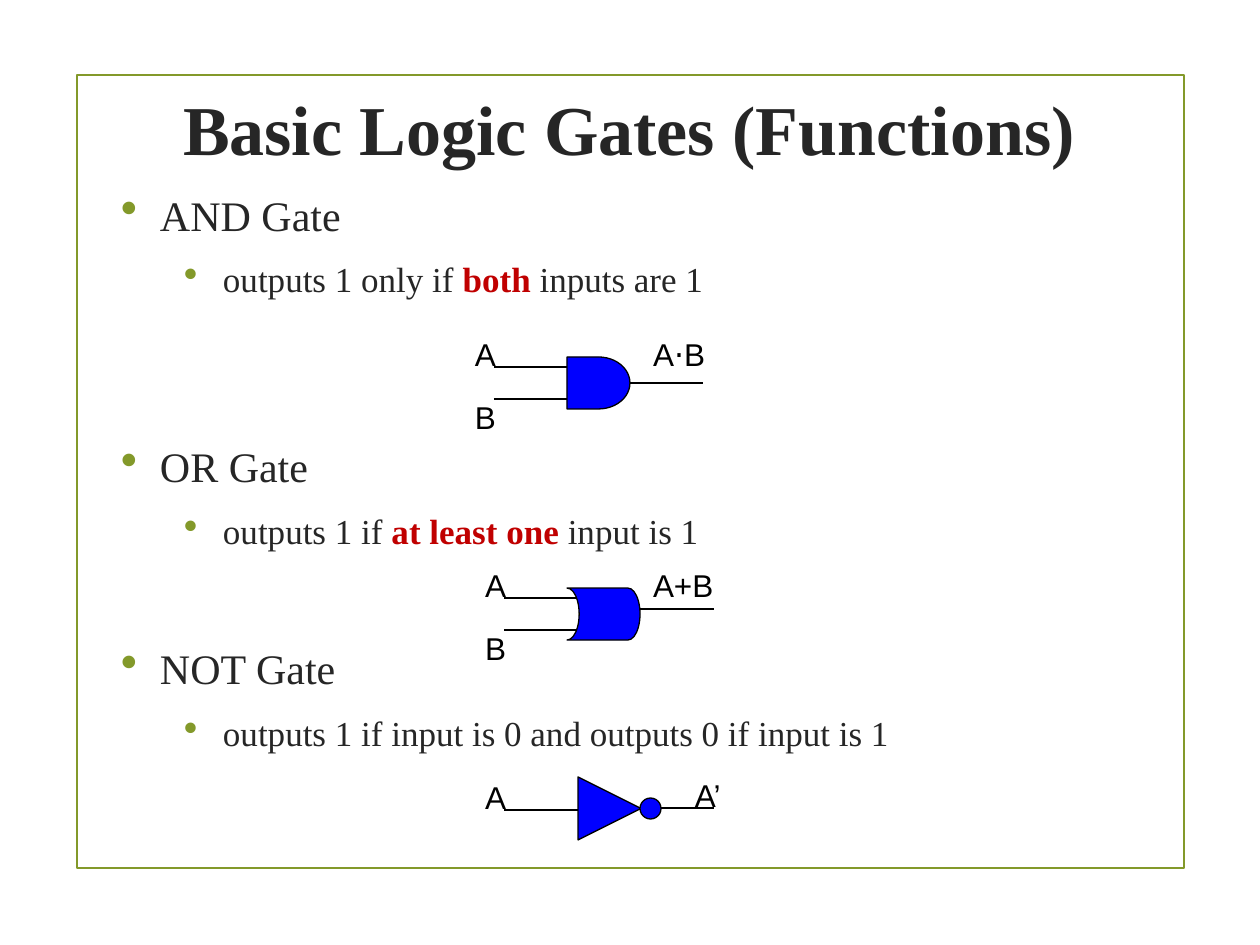
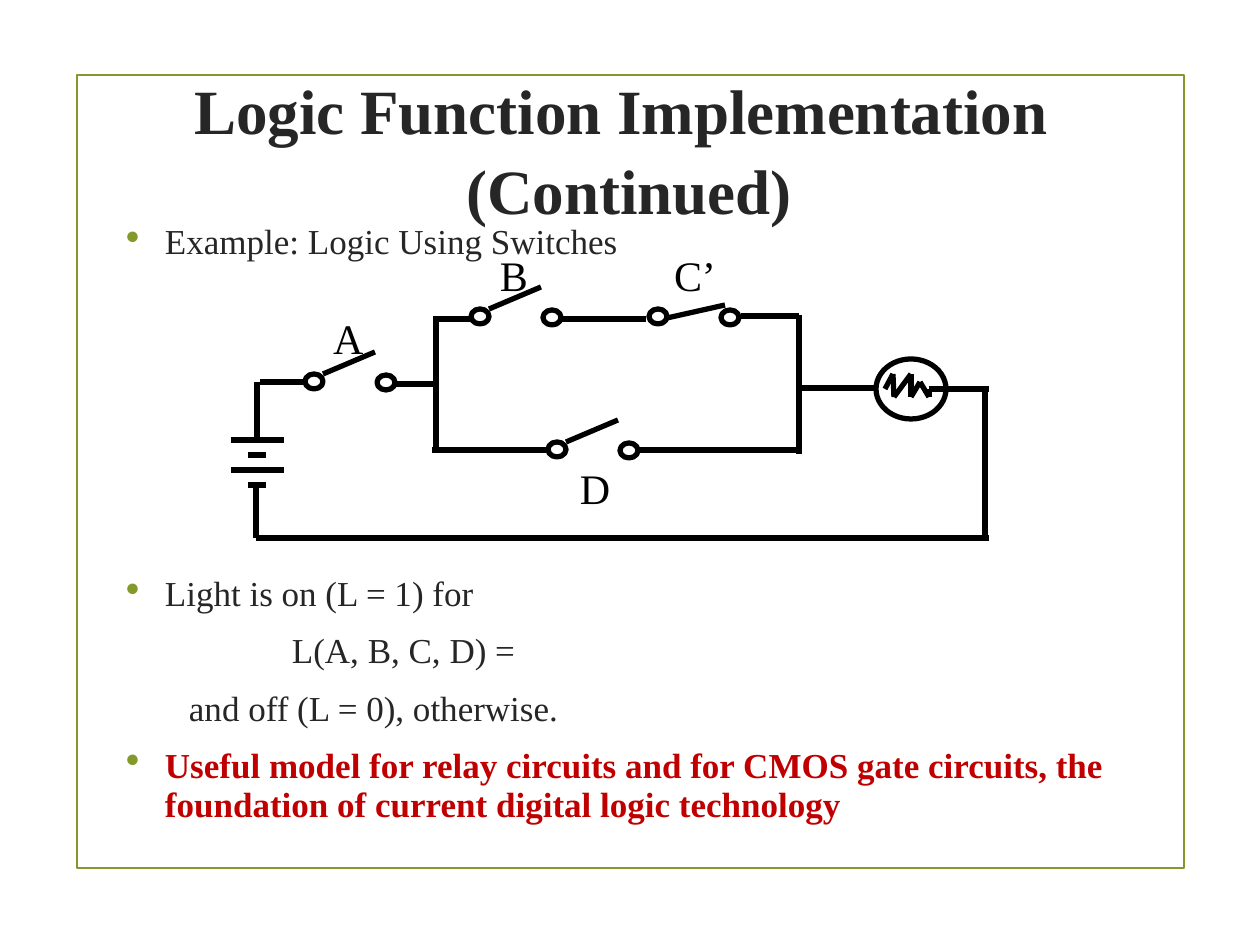
from itertools import pairwise

from lxml import etree
from pptx import Presentation
from pptx.dml.color import RGBColor
from pptx.enum.shapes import MSO_CONNECTOR, MSO_SHAPE
from pptx.enum.text import MSO_ANCHOR, PP_ALIGN
from pptx.oxml.ns import qn
from pptx.util import Emu, Pt

STRAIGHT = MSO_CONNECTOR.STRAIGHT
RECTANGLE, OVAL = MSO_SHAPE.RECTANGLE, MSO_SHAPE.OVAL
AND_BODY = MSO_SHAPE.FLOWCHART_DELAY
OR_BODY = MSO_SHAPE.FLOWCHART_STORED_DATA
NOT_BODY = MSO_SHAPE.FLOWCHART_EXTRACT
BUBBLE = MSO_SHAPE.FLOWCHART_CONNECTOR
TOP, MIDDLE = MSO_ANCHOR.TOP, MSO_ANCHOR.MIDDLE
CENTER = PP_ALIGN.CENTER

COLORS = {"olive": "83992A", "ink": "262626", "red": "C00000",
          "gate": "0000FF", "black": "000000"}
SERIF, SANS = "Times New Roman", "Arial"
EMU_PER_PX = 914400 / 126
SLIDE_SIZE = (1260, 945)
FRAME = (77, 75, 1107, 793)
HEADING, DETAIL = 24, 20
INDENT, DETAIL_MARGIN = 39, 102
SPACE_BEFORE, SPACE_AFTER = 4.6, 6
GATE_LINE, CIRCUIT_LINE = 0.75, 3


def px(length):
    """Turn px into EMU."""
    return Emu(round(length * EMU_PER_PX))


def color(name):
    """Look up a colour of the palette."""
    return RGBColor.from_string(COLORS[name])


def style(run, size, name="ink", font=SERIF, bold=False):
    """Format one run."""
    run.font.size, run.font.name, run.font.bold = Pt(size), font, bold
    run.font.color.rgb = color(name)


def text_frame(slide, box, anchor=TOP):
    """Add a wrapping text box without insets."""
    frame = slide.shapes.add_textbox(*map(px, box)).text_frame
    frame.word_wrap = True
    frame.vertical_anchor = anchor
    frame.margin_left = frame.margin_right = 0
    frame.margin_top = frame.margin_bottom = 0
    return frame


def label(slide, x, y, text, size, font):
    """Write a short black label with its top left corner at x, y."""
    frame = text_frame(slide, (x, y, 80, 50))
    frame.text = text
    style(frame.paragraphs[0].runs[0], size, "black", font)


def outline(slide, kind, box, line, width, fill=None):
    """Add a preset shape with a plain line and an optional fill."""
    shape = slide.shapes.add_shape(kind, *map(px, box))
    shape.shadow.inherit = False
    if fill:
        shape.fill.solid()
        shape.fill.fore_color.rgb = color(fill)
    else:
        shape.fill.background()
    shape.line.color.rgb = color(line)
    shape.line.width = Pt(width)
    return shape


def wire(slide, origin, ends, width):
    """Draw a straight black wire between two points relative to origin."""
    x, y = origin
    x1, y1, x2, y2 = ends
    line = slide.shapes.add_connector(
        STRAIGHT, px(x + x1), px(y + y1), px(x + x2), px(y + y2))
    line.line.color.rgb = color("black")
    line.line.width = Pt(width)
    etree.SubElement(line._element.spPr, qn("a:effectLst"))
    return line


def framed_slide(deck, title, title_box, size):
    """Add a slide with the olive frame and a centred title."""
    slide = deck.slides.add_slide(deck.slide_layouts[6])
    outline(slide, RECTANGLE, FRAME, "olive", 1.25)
    frame = text_frame(slide, title_box, MIDDLE)
    frame.text = title
    heading = frame.paragraphs[0]
    heading.alignment, heading.line_spacing = CENTER, 1.05
    for run in heading.runs:
        style(run, size, bold=True)
    return slide


def set_bullet(paragraph, margin):
    """Give a paragraph a hanging olive bullet."""
    properties = paragraph._p.get_or_add_pPr()
    properties.set("marL", str(px(margin)))
    properties.set("indent", str(-px(INDENT)))
    bullet_color = etree.SubElement(properties, qn("a:buClr"))
    etree.SubElement(bullet_color, qn("a:srgbClr"), val=COLORS["olive"])
    etree.SubElement(properties, qn("a:buSzPct"), val="115000")
    etree.SubElement(properties, qn("a:buChar"), char="•")


def body(slide, box, items, spacing=1.0):
    """Write items of (runs, size, margin, bulleted, space before)."""
    frame = text_frame(slide, box)
    for index, (runs, size, margin, bulleted, before) in enumerate(items):
        paragraph = frame.paragraphs[0] if index == 0 else frame.add_paragraph()
        if bulleted:
            set_bullet(paragraph, margin)
        else:
            paragraph._p.get_or_add_pPr().set("marL", str(px(margin)))
        paragraph.line_spacing = spacing
        paragraph.space_before = Pt(before)
        paragraph.space_after = Pt(SPACE_AFTER)
        for text, emphasized in runs:
            run = paragraph.add_run()
            run.text = text
            style(run, size, "red" if emphasized else "ink", bold=emphasized)


def gate(slide, origin, kind, body_box, rotation, wires, labels):
    """Draw a gate body, its wires and its labels relative to origin."""
    x, y = origin
    left, top, width, height = body_box
    symbol = outline(slide, kind, (x + left, y + top, width, height),
                     "black", GATE_LINE, "gate")
    symbol.rotation = rotation
    lines = [wire(slide, origin, ends, GATE_LINE) for ends in wires]
    for dx, dy, text in labels:
        label(slide, x + dx, y + dy, text, 18, SANS)
    return symbol, lines


def gates_slide(deck):
    """Build the slide on the AND, OR and NOT gates."""
    slide = framed_slide(deck, "Basic Logic Gates (Functions)",
                         (72, 34, 1114, 182), 40)
    sections = [
        ("AND Gate", 0, [("outputs 1 only if ", False), ("both", True),
                         (" inputs are 1", False)]),
        ("OR Gate", 74.5, [("outputs 1 if ", False), ("at least one ", True),
                           ("input is 1", False)]),
        ("NOT Gate", 46, [("outputs 1 if input is 0 and outputs 0 "
                           "if input is 1", False)]),
    ]
    items = []
    for name, before, detail in sections:
        items.append(([(name, False)], HEADING, INDENT, True, before))
        items.append((detail, DETAIL, DETAIL_MARGIN, True, SPACE_BEFORE))
    body(slide, (121, 189, 1050, 660), items)

    and_symbol, and_wires = gate(
        slide, (475, 335), AND_BODY, (92, 22, 63, 52), 0,
        [(19, 32, 92, 32), (19, 64, 92, 64), (155, 48, 228, 48)],
        [(0, 0, "A"), (0, 63, "B"), (178, 0, "A⋅B")])
    and_wires[-1].begin_connect(and_symbol, 3)
    gate(slide, (485, 566), OR_BODY, (82, 22, 73, 52), 180,
         [(19, 32, 92, 32), (19, 64, 92, 64), (155, 43, 229, 43)],
         [(0, 0, "A"), (0, 63, "B"), (168, 0, "A+B")])
    gate(slide, (485, 777), NOT_BODY, (93, 0, 63, 63), 90,
         [(19, 33, 93, 33), (155, 31, 229, 31)],
         [(0, 1, "A"), (210, -1, "A’")])
    outline(slide, BUBBLE, (640, 798, 21, 21), "black", GATE_LINE, "gate")


def switch(slide, origin, name, label_offset, blade=(18, 0, 70, -22)):
    """Draw two contacts, a blade and the name of a switch."""
    x, y = origin
    for dx, dy in ((0, 0), (72, 1)):
        outline(slide, OVAL, (x + dx, y + dy, 18, 15), "black", CIRCUIT_LINE)
    wire(slide, origin, blade, CIRCUIT_LINE)
    label(slide, x + label_offset[0], y + label_offset[1], name, 24, SERIF)


def circuit(slide, origin):
    """Draw the battery, switches, lamp and wires relative to origin."""
    x, y = origin
    switch(slide, (x + 75, y + 124), "A", (28, -61))
    switch(slide, (x + 241, y + 59), "B", (29, -59))
    switch(slide, (x + 419, y + 59), "C’", (25, -59), (18, 9, 76, -4))
    switch(slide, (x + 318, y + 192), "D", (32, 21))

    outline(slide, OVAL, (x + 646, y + 109, 70, 60), "black", CIRCUIT_LINE)
    filament = [(655, 139), (663, 124), (664, 147), (681, 124), (681, 147),
                (690, 132), (699, 147), (699, 139), (725, 139)]
    lamp = [start + end for start, end in pairwise(filament)]

    battery = []
    for plate in range(4):
        left, right = (18, 36) if plate % 2 else (1, 54)
        level = 190 + 15 * plate
        battery.append((left, level, right, level))

    source = [(27, 132, 27, 191), (30, 132, 75, 132), (163, 134, 208, 134)]
    upper = [(206, 69, 240, 69), (331, 69, 416, 69), (511, 66, 569, 66)]
    lower = [(202, 200, 316, 200), (408, 200, 571, 200)]
    junctions = [(206, 66, 206, 202), (569, 65, 569, 204)]
    back = [(571, 138, 644, 138), (718, 139, 759, 139), (755, 139, 755, 287),
            (26, 288, 759, 288), (26, 238, 26, 288)]
    for ends in lamp + battery + source + upper + lower + junctions + back:
        wire(slide, origin, ends, CIRCUIT_LINE)


def switches_slide(deck):
    """Build the slide on logic made of switches."""
    slide = framed_slide(deck, "Logic Function Implementation \v(Continued)",
                         (72, 77, 1114, 141), 36)
    lines = [
        ("Example: Logic Using Switches", False, INDENT, True, 0),
        ("Light is on (L = 1) for", False, INDENT, True, 173),
        ("L(A, B, C, D) =", False, 166, False, SPACE_BEFORE),
        ("and off (L = 0), otherwise.", False, 63, False, SPACE_BEFORE),
        ("Useful model for relay circuits and for CMOS gate circuits, the "
         "foundation of current digital logic technology",
         True, INDENT, True, SPACE_BEFORE),
    ]
    items = [([(text, emphasized)], DETAIL, margin, bulleted, before)
             for text, emphasized, margin, bulleted, before in lines]
    body(slide, (126, 224, 1046, 640), items, 0.92)
    circuit(slide, (230, 250))


def main():
    """Build and save the deck."""
    deck = Presentation()
    deck.slide_width, deck.slide_height = map(px, SLIDE_SIZE)
    gates_slide(deck)
    switches_slide(deck)
    deck.save("out.pptx")


if __name__ == "__main__":
    main()
